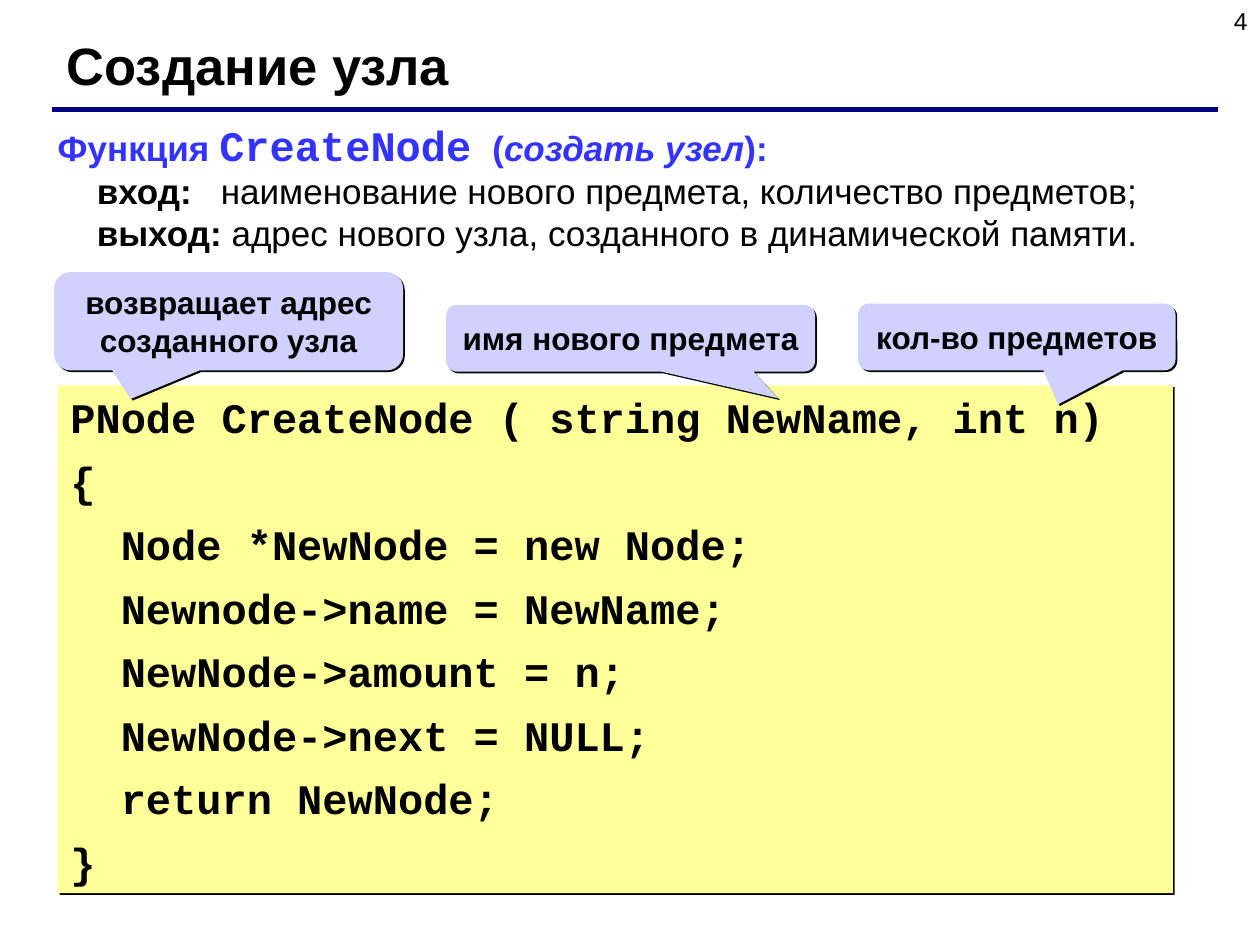
from lxml import etree
from pptx import Presentation
from pptx.dml.color import RGBColor
from pptx.enum import shapes, text
from pptx.oxml import ns
from pptx.util import Inches, Pt

BLACK = RGBColor(0, 0, 0)
NAVY = RGBColor(0x00, 0x00, 0x80)
BLUE = RGBColor(0x33, 0x33, 0xFF)
YELLOW = RGBColor(0xFF, 0xFF, 0x99)
LILAC = RGBColor(0xD1, 0xD1, 0xFF)
SANS, MONO = "Arial", "Courier New"

TITLE = "Создание узла"
CODE = [
    "PNode CreateNode ( string NewName, int n)",
    "{",
    "  Node *NewNode = new Node;",
    "  Newnode->name = NewName;",
    "  NewNode->amount = n;",
    "  NewNode->next = NULL;",
    "  return NewNode;",
    "}",
]
HEADING = [
    ("Функция ", {}),
    ("CreateNode", {"font": MONO, "size": 24}),
    (" ", {"font": MONO}),
    ("(", {}),
    ("создать узел", {"italic": True}),
    ("):", {}),
]
# label, extra points after it, meaning
PARAMETERS = [
    ("вход:", 11, "наименование нового предмета, количество предметов;"),
    ("выход:", 0, "адрес нового узла, созданного в динамической памяти."),
]
# text, (left, top, width, height), callout tip as a share of the size
CALLOUTS = [
    ("возвращает адрес созданного узла", (0.43, 2.16, 2.77, 0.78), (-0.28, 0.79)),
    ("имя нового предмета", (3.54, 2.42, 2.93, 0.53), (0.4, 0.9)),
    ("кол-во предметов", (6.81, 2.41, 2.52, 0.53), (0.13, 1.01)),
]


def inches(*values):
    return [Inches(value) for value in values]


def add_run(paragraph, content, font=SANS, size=20, color=BLACK, bold=True,
            italic=False, tracking=0):
    run = paragraph.add_run()
    run.text = content
    run.font.name = font
    run.font.size = Pt(size)
    run.font.color.rgb = color
    run.font.bold = bold
    run.font.italic = italic
    if tracking:
        run._r.get_or_add_rPr().set("spc", str(tracking * 100))


def write(shape, paragraphs, align=text.PP_ALIGN.LEFT, anchor=text.MSO_ANCHOR.TOP,
          space_before=0, **style):
    """Fill a shape with paragraphs, each a list of (text, own format) runs."""
    frame = shape.text_frame
    frame.word_wrap = True
    frame.auto_size = text.MSO_AUTO_SIZE.NONE
    frame.vertical_anchor = anchor
    for index, runs in enumerate(paragraphs):
        paragraph = frame.add_paragraph() if index else frame.paragraphs[0]
        paragraph.alignment = align
        paragraph.line_spacing = 1.0
        paragraph.space_before = Pt(space_before if index else 0)
        for content, own in runs:
            add_run(paragraph, content, **{**style, **own})


def add_panel(slide, kind, box, color):
    """Add a borderless shape with a thin hard shadow."""
    shape = slide.shapes.add_shape(kind, *inches(*box))
    shape.fill.solid()
    shape.fill.fore_color.rgb = color
    shape.line.fill.background()
    shape.shadow.inherit = False
    effects = shape.element.spPr.find(ns.qn("a:effectLst"))
    shadow = etree.SubElement(effects, ns.qn("a:outerShdw"), dist=str(Pt(1.4)),
                              dir="2700000", algn="ctr", rotWithShape="0")
    etree.SubElement(shadow, ns.qn("a:srgbClr"), val=str(BLACK))
    return shape


def main():
    presentation = Presentation()
    presentation.slide_width, presentation.slide_height = inches(10, 7.5)
    slide = presentation.slides.add_slide(presentation.slide_layouts[5])

    title = slide.shapes.title
    title.left, title.top, title.width, title.height = inches(0.43, 0.21, 8.9, 0.6)
    write(title, [[(TITLE, {})]], size=30)

    number = slide.shapes.add_textbox(*inches(7.67, 0, 2.33, 0.52))
    write(number, [[("4", {})]], align=text.PP_ALIGN.RIGHT, size=14, bold=False)

    rule = slide.shapes.add_connector(shapes.MSO_CONNECTOR.STRAIGHT,
                                      *inches(0.41, 0.87, 9.67, 0.87))
    rule.line.color.rgb = NAVY
    rule.line.width = Pt(3)
    etree.SubElement(rule.element.spPr, ns.qn("a:effectLst"))

    code = add_panel(slide, shapes.MSO_SHAPE.RECTANGLE, (0.46, 3.06, 8.85, 4.03), YELLOW)
    write(code, [[(line, {})] for line in CODE], space_before=7.5, font=MONO, size=24)

    description = slide.shapes.add_textbox(*inches(0.36, 0.9, 9.39, 1.17))
    heading = [(content, {"color": BLUE, **own}) for content, own in HEADING]
    parameters = [[(label, {}), (" ", {"tracking": gap}), (meaning, {"bold": False})]
                  for label, gap, meaning in PARAMETERS]
    write(description, [heading] + parameters)
    for paragraph in description.text_frame.paragraphs[1:]:
        paragraph._p.get_or_add_pPr().set("marL", str(Inches(0.31)))

    for label, box, tip in CALLOUTS:
        callout = add_panel(slide, shapes.MSO_SHAPE.ROUNDED_RECTANGULAR_CALLOUT, box, LILAC)
        callout.adjustments[0], callout.adjustments[1] = tip
        write(callout, [[(label, {})]], align=text.PP_ALIGN.CENTER,
              anchor=text.MSO_ANCHOR.MIDDLE, size=18)

    presentation.save("out.pptx")


if __name__ == "__main__":
    main()
